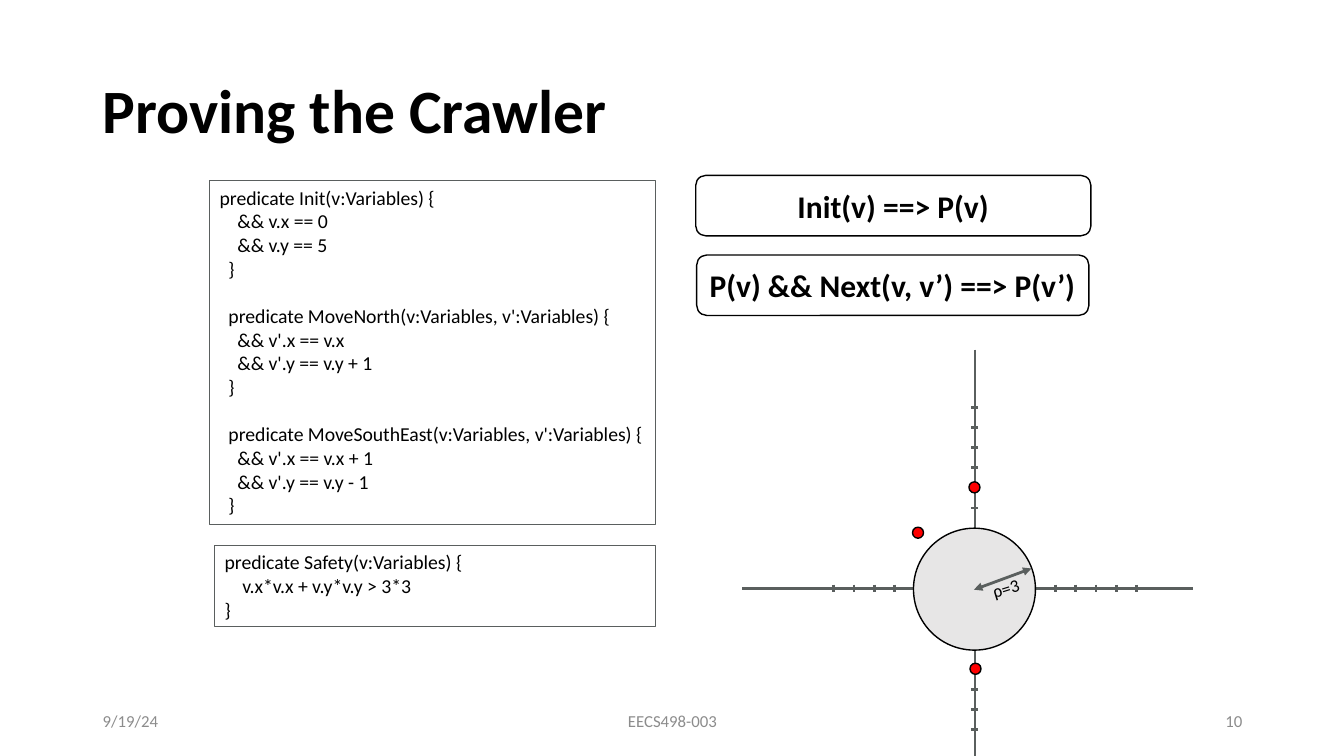
from dataclasses import dataclass

from lxml.etree import SubElement
from pptx import Presentation
from pptx.dml.color import RGBColor
from pptx.enum.shapes import MSO_CONNECTOR, MSO_SHAPE as Shape
from pptx.enum.text import MSO_ANCHOR as Anchor, PP_ALIGN as Align
from pptx.oxml.ns import qn
from pptx.util import Pt

PX = 9144  # EMU in one px, 100 px to the inch


@dataclass
class Theme:
    font: str = "Calibri"
    ink: str = "000000"
    axis: str = "5A5F5E"
    footer: str = "8C8C8C"
    paper: str = "FFFFFF"
    disc: str = "E7E6E6"
    dot: str = "FF0000"
    title_size: float = 44
    rule_size: float = 22.5
    code_size: float = 14.1
    label_size: float = 12.7
    footer_size: float = 12
    code_gap: float = 17


theme = Theme()
deck = Presentation()
deck.slide_width, deck.slide_height = 1333 * PX, 750 * PX
page = deck.slides.add_slide(deck.slide_layouts[6])


def add_box(kind, place, text="", size=12, color=theme.ink, bold=False, align=Align.LEFT,
            anchor=Anchor.MIDDLE, fill=None, line=None, width=1):
    """Adds a preset shape, or a text box when kind is None."""
    place = [n * PX for n in place]
    if kind is None:
        box = page.shapes.add_textbox(*place)
    else:
        box = page.shapes.add_shape(kind, *place)
        box.shadow.inherit = False
        box.line.color.rgb = RGBColor.from_string(line)
        box.line.width = Pt(width)
        if fill:
            box.fill.solid()
            box.fill.fore_color.rgb = RGBColor.from_string(fill)
        else:
            box.fill.background()
    frame = box.text_frame
    frame.word_wrap = True
    frame.vertical_anchor = anchor
    if not text:
        return box
    # A blank line in the text becomes space before the next paragraph
    for number, block in enumerate(text.split("\n\n")):
        for row, content in enumerate(block.split("\n")):
            para = frame.add_paragraph() if number or row else frame.paragraphs[0]
            para.alignment = align
            if number and not row:
                para.space_before = Pt(theme.code_gap)
            span = para.add_run()
            span.text = content
            span.font.name, span.font.size, span.font.bold = theme.font, Pt(size), bold
            span.font.color.rgb = RGBColor.from_string(color)
    return box


def add_line(x1, y1, x2, y2, arrows=False):
    line = page.shapes.add_connector(MSO_CONNECTOR.STRAIGHT, x1 * PX, y1 * PX, x2 * PX, y2 * PX)
    line.line.color.rgb = RGBColor.from_string(theme.axis)
    line.line.width = Pt(2)
    if arrows:
        for end in ("a:headEnd", "a:tailEnd"):
            SubElement(line.line._get_or_add_ln(), qn(end), type="triangle")
    SubElement(line._element.spPr, qn("a:effectLst"))


# Title
title = add_box(None, (92, 40, 1150, 145), "Proving the Crawler", theme.title_size, bold=True)
title.text_frame.paragraphs[0].line_spacing = 0.9

# Axes and their ticks outside the disc
center_x, center_y, unit, first_tick = 967, 584, 20, 4
add_line(center_x, 347, center_x, 750)
add_line(736, center_y, 1183, center_y)
for step_x, step_y, last_tick in ((0, -1, 9), (0, 1, 7), (1, 0, 8), (-1, 0, 7)):
    for tick in range(first_tick, last_tick + 1):
        x = center_x + step_x * tick * unit
        y = center_y + step_y * tick * unit
        if step_x:
            add_line(x, y - 4, x, y + 3)
        else:
            add_line(x - 4, y, x + 3, y)

# Forbidden disc with its radius
add_box(Shape.OVAL, (906, 524, 121, 121), fill=theme.disc, line=theme.ink)
add_line(1023, 564, 966, 585, arrows=True)
radius = add_box(None, (976, 569, 43, 29), "ρ=3", theme.label_size, align=Align.CENTER)
radius.rotation = 342.8
frame = radius.text_frame
frame.margin_left = frame.margin_right = frame.margin_top = frame.margin_bottom = 4 * PX

# Crawler positions
for left, top in ((961, 478), (962, 658), (905, 523)):
    add_box(Shape.OVAL, (left, top, 11, 11), fill=theme.dot, line=theme.ink)

# Code
safety_code = """predicate Safety(v:Variables) {
    v.x*v.x + v.y*v.y > 3*3
}"""
crawler_code = """predicate Init(v:Variables) {
    && v.x == 0
    && v.y == 5
  }

  predicate MoveNorth(v:Variables, v':Variables) {
    && v'.x == v.x
    && v'.y == v.y + 1
  }

  predicate MoveSouthEast(v:Variables, v':Variables) {
    && v'.x == v.x + 1
    && v'.y == v.y - 1
  }"""
for place, code in (((213, 541, 437, 81), safety_code), ((208, 179, 442, 341), crawler_code)):
    add_box(Shape.RECTANGLE, place, code, theme.code_size, anchor=Anchor.TOP,
            line=theme.axis, width=0.75)

# Proof obligations
for place, rule, align in (
    ((690, 174, 392, 60), "Init(v) ==> P(v)", Align.CENTER),
    ((691, 253, 389, 60), "P(v) && Next(v, v’) ==> P(v’)", Align.LEFT),
):
    add_box(Shape.ROUNDED_RECTANGLE, place, rule, theme.rule_size, bold=True, align=align,
            fill=theme.paper, line=theme.ink)

# Footer
for left, width, text, align in (
    (92, 300, "9/19/24", Align.LEFT),
    (442, 450, "EECS498-003", Align.CENTER),
    (942, 300, "10", Align.RIGHT),
):
    add_box(None, (left, 695, width, 40), text, theme.footer_size, theme.footer, align=align)

deck.save("out.pptx")
